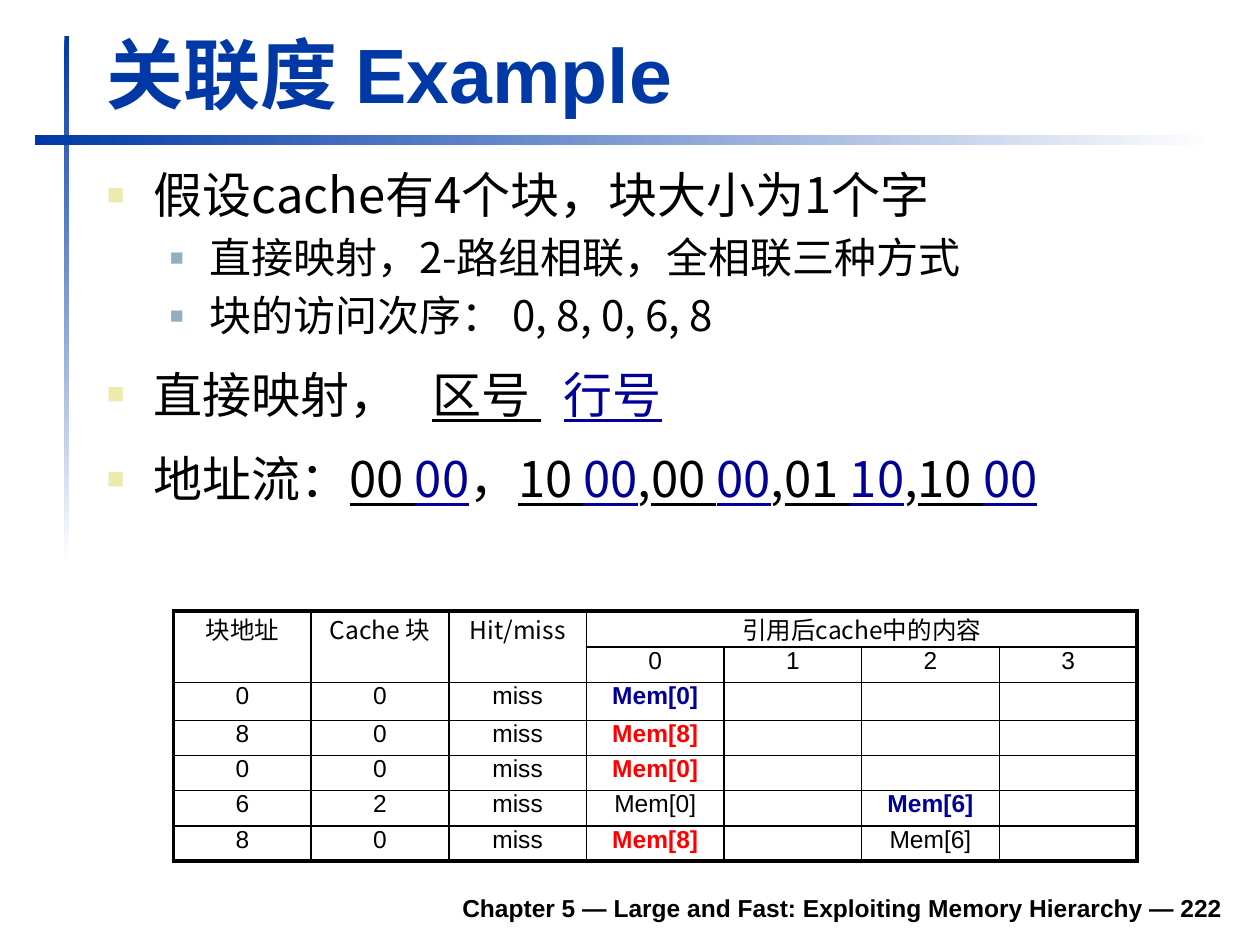
from lxml.etree import SubElement
from pptx import Presentation
from pptx.dml.color import RGBColor
from pptx.enum.shapes import MSO_SHAPE as Shape
from pptx.enum.text import MSO_ANCHOR as Anchor, MSO_AUTO_SIZE as AutoSize, PP_ALIGN as Align
from pptx.oxml.ns import qn
from pptx.util import Cm, Pt

COLORS = {
    "blue": "0039A6",
    "white": "FFFFFF",
    "black": "000000",
    "navy": "000099",
    "red": "FF0000",
    "bullet_major": "ECEAAC",
    "bullet_minor": "91AFBF",
}
LATIN, CJK = "Arial", "Noto Sans CJK SC"
LEVELS = [
    dict(size=28, line=32.2, indent=0.95, hang=0.95, bullet="bullet_major", scale="60000"),
    dict(size=24, line=27.6, indent=2.06, hang=0.79, bullet="bullet_minor", scale="55000"),
]
ADDRESSES = [("00", "00"), ("10", "00"), ("00", "00"), ("01", "10"), ("10", "00")]
SEPARATORS = ["，", ",", ",", ","]
HEADINGS = ["块地址", "Cache 块", "Hit/miss", "引用后cache中的内容"]
ACCESSES = [
    ("0", "0", {0: ("Mem[0]", "navy")}),
    ("8", "0", {0: ("Mem[8]", "red")}),
    ("0", "0", {0: ("Mem[0]", "red")}),
    ("6", "2", {0: ("Mem[0]", "black"), 2: ("Mem[6]", "navy")}),
    ("8", "0", {0: ("Mem[8]", "red"), 2: ("Mem[6]", "black")}),
]
ROW_HEIGHTS = [0.72, 0.72, 0.76, 0.71, 0.71, 0.71, 0.71]
COLUMNS = 7


def rgb(name):
    return RGBColor.from_string(COLORS[name])


def add_run(paragraph, text, size, font=LATIN, color="black", bold=False,
            underline=False, spacing=None):
    run = paragraph.add_run()
    run.text = text
    run.font.size = Pt(size)
    run.font.bold = bold
    run.font.underline = underline
    run.font.color.rgb = rgb(color)
    run.font.name = font
    properties = run.font._element
    SubElement(properties, qn("a:ea"), typeface=CJK)
    if spacing:
        properties.set("spc", str(spacing))


def place(shape, box):
    shape.left, shape.top, shape.width, shape.height = (Cm(length) for length in box)


def add_fading_bar(slide, box, angle):
    bar = slide.shapes.add_shape(Shape.RECTANGLE, *(Cm(length) for length in box))
    bar.shadow.inherit = False
    bar.line.fill.background()
    bar.fill.gradient()
    bar.fill.gradient_angle = angle
    for stop, color in zip(bar.fill.gradient_stops, ("blue", "white")):
        stop.color.rgb = rgb(color)


def fill_title(slide, box):
    title = slide.shapes.title
    place(title, box)
    frame = title.text_frame
    frame.auto_size = AutoSize.NONE
    frame.vertical_anchor = Anchor.BOTTOM
    frame.paragraphs[0].alignment = Align.LEFT
    add_run(frame.paragraphs[0], "关联度 Example", 44, color="blue", bold=True)


def format_item(paragraph, level, before):
    style = LEVELS[level]
    paragraph.level = level
    properties = paragraph._p.get_or_add_pPr()
    properties.set("marL", str(Cm(style["indent"])))
    properties.set("indent", str(-Cm(style["hang"])))
    color = SubElement(properties, qn("a:buClr"))
    SubElement(color, qn("a:srgbClr"), val=COLORS[style["bullet"]])
    SubElement(properties, qn("a:buSzPct"), val=style["scale"])
    SubElement(properties, qn("a:buFont"), typeface=LATIN)
    SubElement(properties, qn("a:buChar"), char="■")
    paragraph.line_spacing = Pt(style["line"])
    paragraph.space_before = Pt(before)


def address_runs():
    runs = [("地址流：", {})]
    for index, (zone, line) in enumerate(ADDRESSES):
        if index:
            runs.append((SEPARATORS[index - 1], {}))
        runs += [(zone + " ", dict(underline=True)),
                 (line, dict(underline=True, color="navy"))]
    return runs


def fill_body(slide, box):
    body = slide.placeholders[1]
    place(body, box)
    frame = body.text_frame
    frame.auto_size = AutoSize.NONE
    frame.margin_top = Cm(0.25)
    mapping_runs = [
        ("直接映射，", {}),
        (" ", dict(spacing=1300)),
        ("区号", dict(underline=True)),
        (" ", dict(underline=True, spacing=1300)),
        ("行号", dict(underline=True, color="navy")),
    ]
    items = [
        (0, 0, [("假设cache有4个块，块大小为1个字", {})]),
        (1, 6, [("直接映射，2-路组相联，全相联三种方式", {})]),
        (1, 5.5, [("块的访问次序： 0, 8, 0, 6, 8", {})]),
        (0, 15, mapping_runs),
        (0, 16, address_runs()),
    ]
    for index, (level, before, runs) in enumerate(items):
        paragraph = frame.add_paragraph() if index else frame.paragraphs[0]
        format_item(paragraph, level, before)
        for text, style in runs:
            add_run(paragraph, text, LEVELS[level]["size"], CJK, **style)


def set_borders(cell, outer_sides):
    properties = cell._tc.get_or_add_tcPr()
    for index, side in enumerate("LRTB"):
        width = Pt(2.25 if side in outer_sides else 1)
        border = SubElement(properties, qn(f"a:ln{side}"), w=str(width))
        fill = SubElement(border, qn("a:solidFill"))
        SubElement(fill, qn("a:srgbClr"), val=COLORS["black"])
        properties.insert(index, border)


def cache_cells():
    cells = {(0, column): (text, CJK, "black") for column, text in enumerate(HEADINGS)}
    for block in range(4):
        cells[1, 3 + block] = (str(block), LATIN, "black")
    for row, (address, block, contents) in enumerate(ACCESSES, 2):
        for column, text in enumerate((address, block, "miss")):
            cells[row, column] = (text, LATIN, "black")
        for slot, (text, color) in contents.items():
            cells[row, 3 + slot] = (text, LATIN, color)
    return cells


def add_cache_table(slide, box):
    rows = len(ROW_HEIGHTS)
    table = slide.shapes.add_table(rows, COLUMNS, *(Cm(length) for length in box)).table
    table.first_row = table.horz_banding = False
    for column in table.columns:
        column.width = Cm(box[2] / COLUMNS)
    for row, height in zip(table.rows, ROW_HEIGHTS):
        row.height = Cm(height)
    for column in range(3):
        table.cell(0, column).merge(table.cell(1, column))
    table.cell(0, 3).merge(table.cell(0, COLUMNS - 1))

    contents = cache_cells()
    for row in range(rows):
        for column in range(COLUMNS):
            cell = table.cell(row, column)
            cell.margin_top = cell.margin_bottom = 0
            cell.fill.background()
            edges = {"L": column == 0, "R": column + cell.span_width == COLUMNS,
                     "T": row == 0, "B": row == rows - 1}
            set_borders(cell, [side for side, outer in edges.items() if outer])
            paragraph = cell.text_frame.paragraphs[0]
            paragraph.alignment = Align.CENTER
            if (row, column) in contents:
                text, font, color = contents[row, column]
                add_run(paragraph, text, 14, font, color, bold=color != "black")
            else:
                SubElement(paragraph._p, qn("a:endParaRPr"), sz="1400")


def add_footer(slide, box):
    frame = slide.shapes.add_textbox(*(Cm(length) for length in box)).text_frame
    frame.word_wrap = True
    frame.vertical_anchor = Anchor.BOTTOM
    frame.paragraphs[0].alignment = Align.RIGHT
    add_run(frame.paragraphs[0],
            "Chapter 5 — Large and Fast: Exploiting Memory Hierarchy — 222", 14, bold=True)


def main():
    deck = Presentation()
    deck.slide_width, deck.slide_height = Cm(25.4), Cm(19.05)
    slide = deck.slides.add_slide(deck.slide_layouts[1])
    add_fading_bar(slide, (1.3, 0.72, 0.1, 10.6), 270)
    add_fading_bar(slide, (0.7, 2.72, 23.8, 0.2), 0)
    add_footer(slide, (4.7, 17.73, 20.2, 1))
    fill_title(slide, (1.9, 0.4, 22.94, 2.12))
    fill_body(slide, (1.9, 3.12, 22.98, 7.8))
    add_cache_table(slide, (3.5, 12.32, 19.42, sum(ROW_HEIGHTS)))
    deck.save("out.pptx")


if __name__ == "__main__":
    main()
